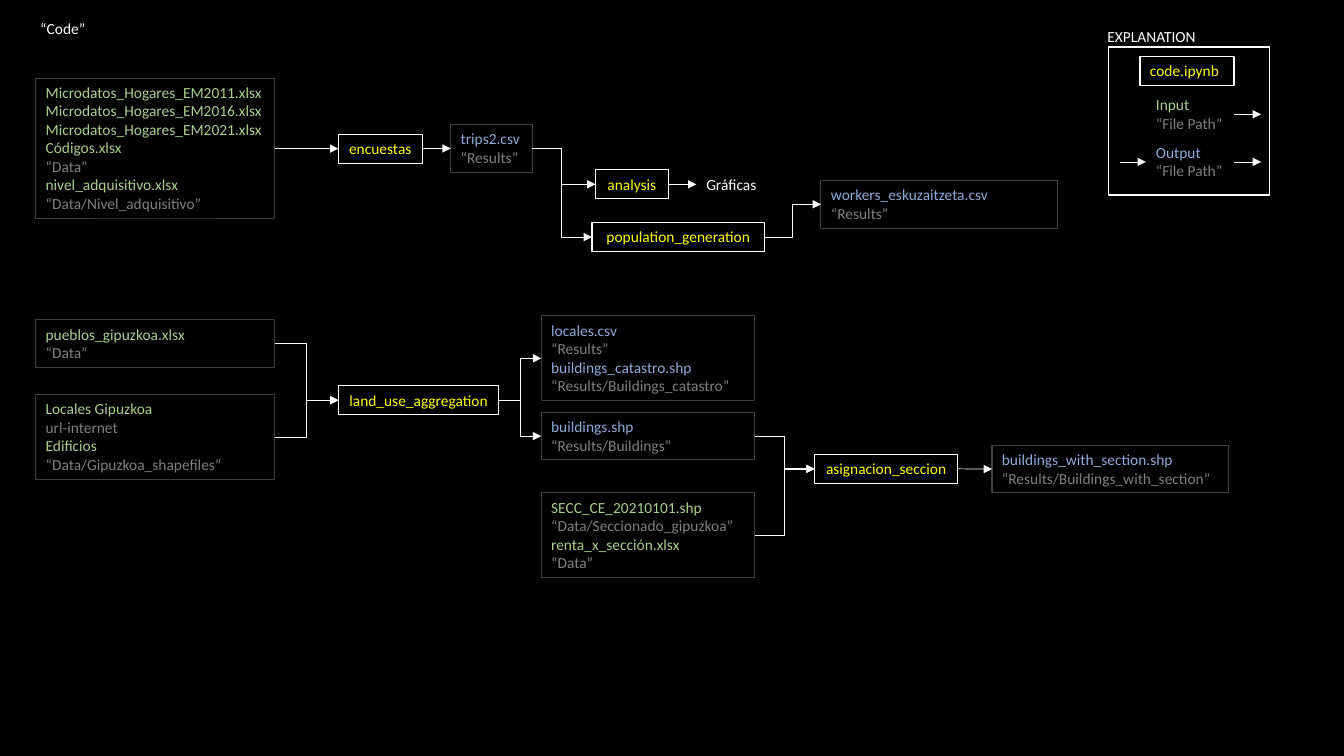
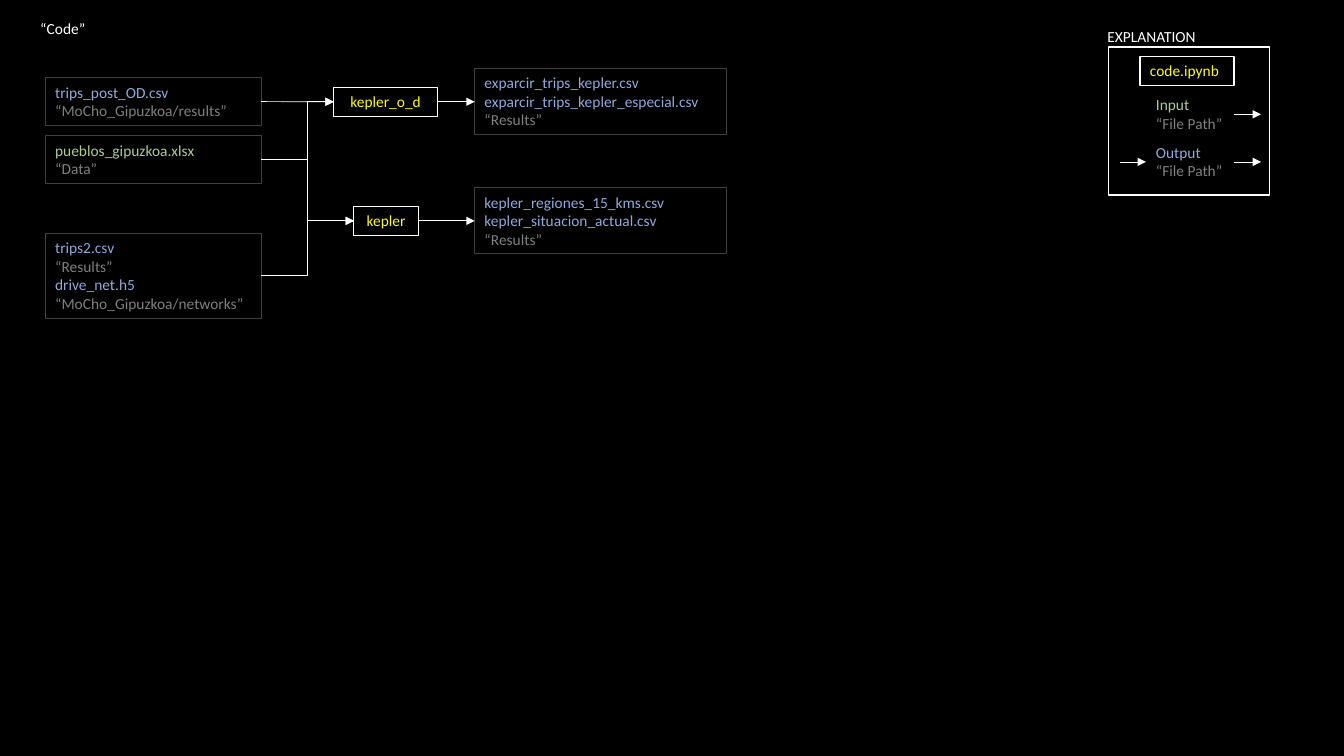
from lxml import etree
from pptx import Presentation
from pptx.dml.color import RGBColor
from pptx.enum import shapes, text
from pptx.oxml.ns import qn
from pptx.util import Cm, Pt

HUES = {
    "back": "000000",
    "white": "FFFFFF",
    "code": "FFFF00",
    "in": "A9D18E",
    "out": "8FAADC",
    "place": "808080",
    "edge": "404040",
}
FONT, SIZE = "Calibri", 11
PLACES = ("“", "url")  # how a line that tells where a file lies begins
LEFT, RIGHT = 1, 3     # connection sites of a box


def hue(name):
    return RGBColor.from_string(HUES[name])


def style(para, color, align=text.PP_ALIGN.LEFT):
    para.alignment = align
    for run in para.runs:
        run.font.name, run.font.size = FONT, Pt(SIZE)
        run.font.color.rgb = hue(color)


def label(slide, x, y, w, lines, color="white"):
    """Add a text box as high as its lines; lines with a place turn grey."""
    box = slide.shapes.add_textbox(Cm(x), Cm(y), Cm(w), Cm(0.26 + 0.47 * len(lines)))
    frame = box.text_frame
    frame.word_wrap = True
    frame.text = "\n".join(lines)
    for para in frame.paragraphs:
        style(para, "place" if para.text.startswith(PLACES) else color)
    return box


def border(box, color, width=0.75):
    box.line.color.rgb = hue(color)
    box.line.width = Pt(width)


def files(slide, kind, x, y, w, *lines):
    box = label(slide, x, y, w, lines, kind)
    border(box, "edge")
    return box


def code(slide, x, y, w, name, align=text.PP_ALIGN.CENTER):
    box = label(slide, x, y, w, [name], "code")
    box.text_frame.paragraphs[0].alignment = align
    border(box, "white")
    return box


def arrow(slide, x1, y1, x2, y2, kind=shapes.MSO_CONNECTOR.STRAIGHT):
    wire = slide.shapes.add_connector(kind, x1, y1, x2, y2)
    border(wire, "white", 0.5)
    props = wire._element.spPr
    etree.SubElement(props.find(qn("a:ln")), qn("a:tailEnd"), type="triangle")
    etree.SubElement(props, qn("a:effectLst"))
    return wire


def link(slide, start, end, bend=None):
    """Join two boxes, with an elbow (at bend, in cm, or halfway) if not level."""
    x1, y1 = start.left + start.width, start.top + start.height // 2
    x2, y2 = end.left, end.top + end.height // 2
    kinds = shapes.MSO_CONNECTOR
    level = abs(y2 - y1) < Cm(0.1)
    wire = arrow(slide, x1, y1, x2, y2, kinds.STRAIGHT if level else kinds.ELBOW)
    wire.begin_connect(start, RIGHT)
    wire.end_connect(end, LEFT)
    if bend:
        share = round((Cm(bend) - x1) / (x2 - x1) * 100000)
        guides = wire._element.spPr.find(qn("a:prstGeom")).find(qn("a:avLst"))
        etree.SubElement(guides, qn("a:gd"), name="adj1", fmla=f"val {share}")


def legend(slide):
    frame = slide.shapes.add_shape(
        shapes.MSO_SHAPE.RECTANGLE, Cm(27.94), Cm(1.19), Cm(4.06), Cm(3.73))
    frame.shadow.inherit = False
    frame.fill.background()
    border(frame, "white", 1)
    label(slide, 27.66, 0.56, 2.8, ["EXPLANATION"])
    code(slide, 28.73, 1.42, 2.37, "code.ipynb", text.PP_ALIGN.LEFT)
    for row, (kind, name) in enumerate((("in", "Input"), ("out", "Output"))):
        y = 2.28 + 1.2 * row
        label(slide, 28.88, y, 2.25, [name, "“File Path”"], kind)
        mid = Cm(y + 0.6)
        arrow(slide, Cm(31.09), mid, Cm(31.78), mid)
    arrow(slide, Cm(28.22), mid, Cm(28.88), mid)


def page(deck):
    """Add a slide with the title and legend that all slides share."""
    slide = deck.slides.add_slide(deck.slide_layouts[5])
    title = slide.shapes.title
    title.left, title.top, title.width, title.height = Cm(0.76), Cm(0.36), Cm(6.43), Cm(0.73)
    frame = title.text_frame
    frame.text = "“Code”"
    frame.auto_size = text.MSO_AUTO_SIZE.NONE
    frame.vertical_anchor = text.MSO_ANCHOR.TOP
    style(frame.paragraphs[0], "white")
    legend(slide)
    return slide


def trips(slide):
    data = files(slide, "in", 0.9, 1.97, 6.03,
                 "Microdatos_Hogares_EM2011.xlsx", "Microdatos_Hogares_EM2016.xlsx",
                 "Microdatos_Hogares_EM2021.xlsx", "Códigos.xlsx", "“Data”",
                 "nivel_adquisitivo.xlsx", "“Data/Nivel_adquisitivo”")
    survey = code(slide, 8.53, 3.38, 2.11, "encuestas")
    table = files(slide, "out", 11.36, 3.14, 2.06, "trips2.csv", "“Results”")
    study = code(slide, 15.01, 4.28, 1.83, "analysis")
    plots = label(slide, 17.55, 4.28, 2.03, ["Gráficas"])
    people = code(slide, 14.92, 5.61, 4.35, "population_generation")
    workers = files(slide, "out", 20.69, 4.55, 5.95, "workers_eskuzaitzeta.csv", "“Results”")
    link(slide, data, survey)
    link(slide, survey, table)
    link(slide, table, study, 14.16)
    link(slide, table, people, 14.16)
    link(slide, study, plots)
    link(slide, people, workers)


def land(slide):
    towns = files(slide, "in", 0.9, 8.06, 6.03, "pueblos_gipuzkoa.xlsx", "“Data”")
    sites = files(slide, "in", 0.9, 9.94, 6.03, "Locales Gipuzkoa", "url-internet",
                  "Edificios", "“Data/Gipuzkoa_shapefiles”")
    merge = code(slide, 8.53, 9.72, 4.04, "land_use_aggregation")
    shops = files(slide, "out", 13.64, 7.96, 5.38, "locales.csv", "“Results”",
                  "buildings_catastro.shp", "“Results/Buildings_catastro”")
    homes = files(slide, "out", 13.64, 10.39, 5.38, "buildings.shp", "“Results/Buildings”")
    zones = files(slide, "in", 13.64, 12.42, 5.38, "SECC_CE_20210101.shp",
                  "“Data/Seccionado_gipuzkoa”", "renta_x_sección.xlsx", "“Data”")
    assign = code(slide, 20.53, 11.45, 3.61, "asignacion_seccion")
    final = files(slide, "out", 25, 11.22, 5.95, "buildings_with_section.shp",
                  "“Results/Buildings_with_section”")
    for start, end in ((towns, merge), (sites, merge), (merge, shops), (merge, homes),
                       (homes, assign), (zones, assign), (assign, final)):
        link(slide, start, end)


def maps(slide):
    post = files(slide, "out", 1.14, 1.96, 5.44, "trips_post_OD.csv",
                 "“MoCho_Gipuzkoa/results”")
    towns = files(slide, "in", 1.14, 3.42, 5.44, "pueblos_gipuzkoa.xlsx", "“Data”")
    net = files(slide, "out", 1.14, 5.88, 5.44, "trips2.csv", "“Results”",
                "drive_net.h5", "“MoCho_Gipuzkoa/networks”")
    pairs = code(slide, 8.41, 2.2, 2.62, "kepler_o_d")
    areas = code(slide, 8.92, 5.2, 1.62, "kepler")
    special = files(slide, "out", 11.96, 1.73, 6.35, "exparcir_trips_kepler.csv",
                    "exparcir_trips_kepler_especial.csv", "“Results”")
    current = files(slide, "out", 11.96, 4.73, 6.35, "kepler_regiones_15_kms.csv",
                    "kepler_situacion_actual.csv", "“Results”")
    link(slide, post, pairs)
    link(slide, towns, pairs, 7.75)
    link(slide, towns, areas, 7.75)
    link(slide, net, areas, 7.75)
    link(slide, pairs, special)
    link(slide, areas, current)


def main():
    deck = Presentation()
    deck.slide_width, deck.slide_height = Cm(33.87), Cm(19.05)
    fill = deck.slide_master.background.fill
    fill.solid()
    fill.fore_color.rgb = hue("back")
    first = page(deck)
    trips(first)
    land(first)
    maps(page(deck))
    deck.save("out.pptx")


if __name__ == "__main__":
    main()
